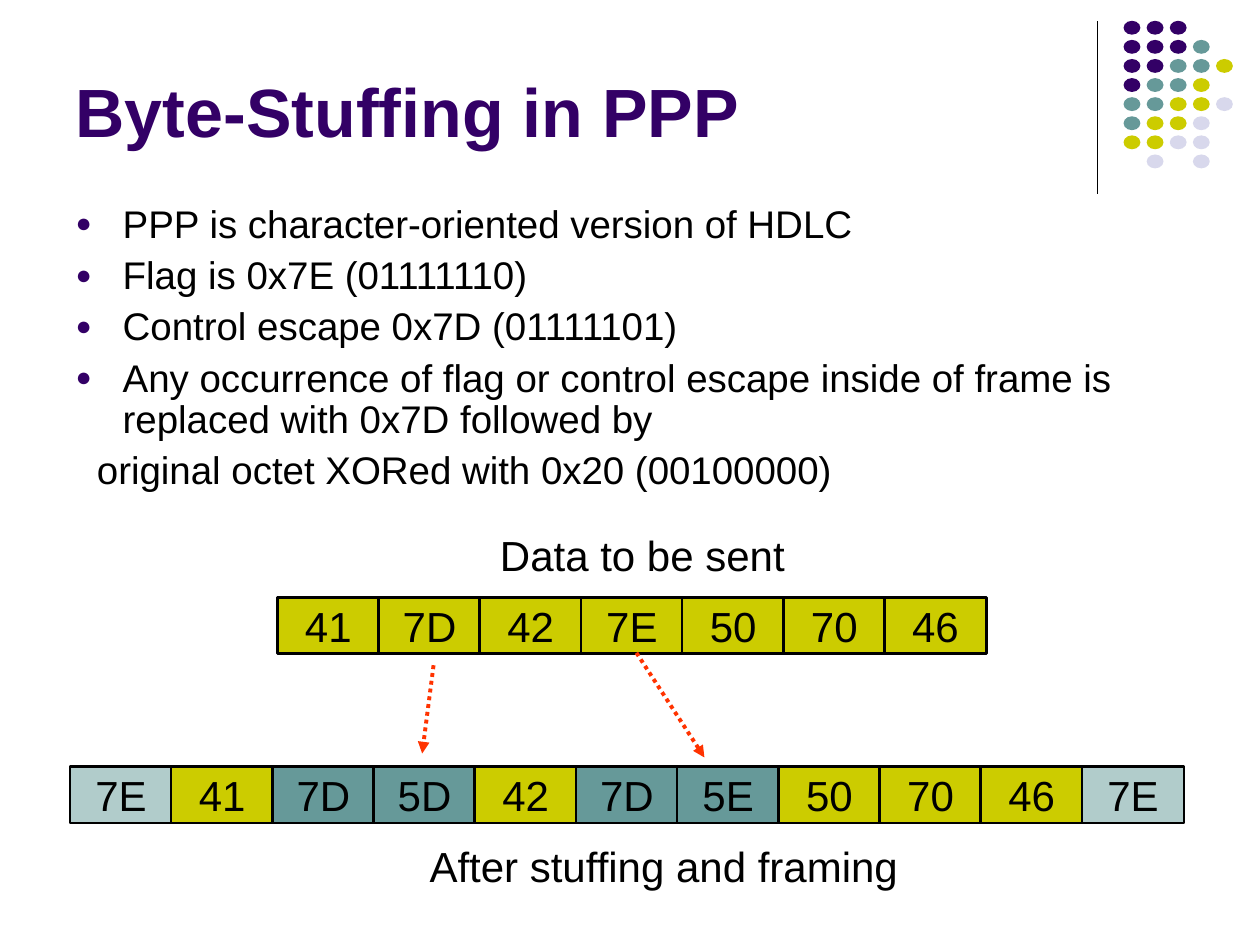
from lxml import etree
from pptx import Presentation
from pptx.dml.color import RGBColor
from pptx.enum.dml import MSO_LINE
from pptx.enum.shapes import MSO_CONNECTOR, MSO_SHAPE
from pptx.enum.text import MSO_ANCHOR, MSO_AUTO_SIZE, PP_ALIGN
from pptx.oxml.ns import qn
from pptx.util import Cm, Pt

STRAIGHT = MSO_CONNECTOR.STRAIGHT
RECTANGLE, OVAL = MSO_SHAPE.RECTANGLE, MSO_SHAPE.OVAL
LEFT, CENTER = PP_ALIGN.LEFT, PP_ALIGN.CENTER
TOP, MIDDLE, BOTTOM = MSO_ANCHOR.TOP, MSO_ANCHOR.MIDDLE, MSO_ANCHOR.BOTTOM

COLORS = {
    "black": "000000",
    "purple": "330066",
    "teal": "669999",
    "olive": "CCCC00",
    "lavender": "D8D8EC",
    "pale": "B1CCCB",
    "red": "FF3300",
}
FONT = "Arial"

BULLETS = [
    "PPP is character-oriented version of HDLC",
    "Flag is 0x7E (01111110)",
    "Control escape 0x7D (01111101)",
    "Any occurrence of flag or control escape inside of frame is "
    "replaced with 0x7D followed by",
]
CONTINUATION = "original octet XORed with 0x20 (00100000)"

# One letter per dot: the first letter of its colour, "." for a gap
DOT_ROWS = ["ppp..", "pppt.", "pptto", "ptto.", "ttool", "tool.", "ooll.", ".l.l."]
DOT_COLORS = {name[0]: name for name in ("purple", "teal", "olive", "lavender")}

DATA_BYTES = [(byte, "olive") for byte in "41 7D 42 7E 50 70 46".split()]
FRAME_BYTES = [
    ("7E", "pale"), ("41", "olive"), ("7D", "teal"), ("5D", "teal"),
    ("42", "olive"), ("7D", "teal"), ("5E", "teal"), ("50", "olive"),
    ("70", "olive"), ("46", "olive"), ("7E", "pale"),
]
CELL_WIDTH, CELL_HEIGHT, CELL_PITCH = 2.06, 1.14, 2.04


def rgb(name):
    return RGBColor.from_string(COLORS[name])


def format_paragraph(para, size, color="black", bold=False, align=LEFT):
    para.alignment = align
    for span in para.runs:
        span.font.name = FONT
        span.font.size = Pt(size)
        span.font.bold = bold
        span.font.color.rgb = rgb(color)


def place(box, left, top, width, height):
    box.left, box.top = Cm(left), Cm(top)
    box.width, box.height = Cm(width), Cm(height)


def set_indent(para, margin, first_line):
    properties = para._p.get_or_add_pPr()
    properties.set("marL", str(Cm(margin)))
    properties.set("indent", str(Cm(first_line)))
    return properties


def add_bullet(para):
    properties = set_indent(para, 0.95, -0.95)
    color = etree.SubElement(properties, qn("a:buClr"))
    etree.SubElement(color, qn("a:srgbClr"), val=COLORS["purple"])
    etree.SubElement(properties, qn("a:buSzPct"), val="70000")
    etree.SubElement(properties, qn("a:buFont"), typeface=FONT)
    etree.SubElement(properties, qn("a:buChar"), char="●")


def remove_bullet(para):
    properties = set_indent(para, 0.43, 0)
    etree.SubElement(properties, qn("a:buNone"))


def fill_title(title):
    place(title, 1.27, 0.33, 20.96, 2.84)
    frame = title.text_frame
    frame.text = "Byte-Stuffing in PPP"
    frame.auto_size = MSO_AUTO_SIZE.NONE
    frame.vertical_anchor = BOTTOM
    format_paragraph(frame.paragraphs[0], 39, "purple", bold=True)


def fill_body(body):
    place(body, 1.27, 4.01, 22.86, 6.3)
    frame = body.text_frame
    frame.text = "\n".join(BULLETS + [CONTINUATION])
    frame.auto_size = MSO_AUTO_SIZE.NONE
    frame.vertical_anchor = TOP
    for index, para in enumerate(frame.paragraphs):
        if index < len(BULLETS):
            add_bullet(para)
        else:
            remove_bullet(para)
        para.line_spacing = 0.9
        para.space_before = Pt(5.5 if index else 0)
        format_paragraph(para, 22)


def add_line(page, start, end, color, weight):
    line = page.shapes.add_connector(STRAIGHT, *map(Cm, start + end))
    line.line.color.rgb = rgb(color)
    line.line.width = Pt(weight)
    etree.SubElement(line._element.spPr, qn("a:effectLst"))
    return line


def add_dotted_arrow(page, start, end):
    arrow = add_line(page, start, end, "red", 2.25)
    arrow.line.dash_style = MSO_LINE.ROUND_DOT
    etree.SubElement(arrow.line._get_or_add_ln(), qn("a:tailEnd"), type="triangle")


def add_dot_grid(page):
    for row, letters in enumerate(DOT_ROWS):
        for column, letter in enumerate(letters):
            if letter == ".":
                continue
            dot = page.shapes.add_shape(
                OVAL, Cm(22.65 + 0.466 * column), Cm(0.42 + 0.385 * row),
                Cm(0.34), Cm(0.28))
            dot.shadow.inherit = False
            dot.fill.solid()
            dot.fill.fore_color.rgb = rgb(DOT_COLORS[letter])
            dot.line.fill.background()


def add_byte_row(page, left, top, cells):
    for index, (byte, color) in enumerate(cells):
        cell = page.shapes.add_shape(
            RECTANGLE, Cm(left + CELL_PITCH * index), Cm(top),
            Cm(CELL_WIDTH), Cm(CELL_HEIGHT))
        cell.shadow.inherit = False
        cell.fill.solid()
        cell.fill.fore_color.rgb = rgb(color)
        cell.line.color.rgb = rgb("black")
        cell.line.width = Pt(1.5)
        frame = cell.text_frame
        frame.text = byte
        frame.word_wrap = False
        frame.vertical_anchor = MIDDLE
        format_paragraph(frame.paragraphs[0], 24, align=CENTER)


def add_label(page, left, top, width, text):
    box = page.shapes.add_textbox(Cm(left), Cm(top), Cm(width), Cm(1.27))
    box.text_frame.text = text
    box.text_frame.word_wrap = False
    format_paragraph(box.text_frame.paragraphs[0], 24)


def main():
    deck = Presentation()
    deck.slide_width, deck.slide_height = Cm(25.4), Cm(19.05)
    page = deck.slides.add_slide(deck.slide_layouts[1])
    fill_title(page.shapes.title)
    fill_body(page.placeholders[1])

    add_line(page, (22.12, 0.43), (22.12, 3.91), "black", 0.75)
    add_dot_grid(page)

    add_label(page, 9.83, 10.54, 6.25, "Data to be sent")
    add_byte_row(page, 5.59, 12.04, DATA_BYTES)
    add_label(page, 8.41, 16.81, 9.96, "After stuffing and framing")
    add_byte_row(page, 1.41, 15.45, FRAME_BYTES)
    add_dotted_arrow(page, (8.74, 13.41), (8.51, 15.19))
    add_dotted_arrow(page, (12.83, 13.16), (14.2, 15.27))

    deck.save("out.pptx")


if __name__ == "__main__":
    main()
